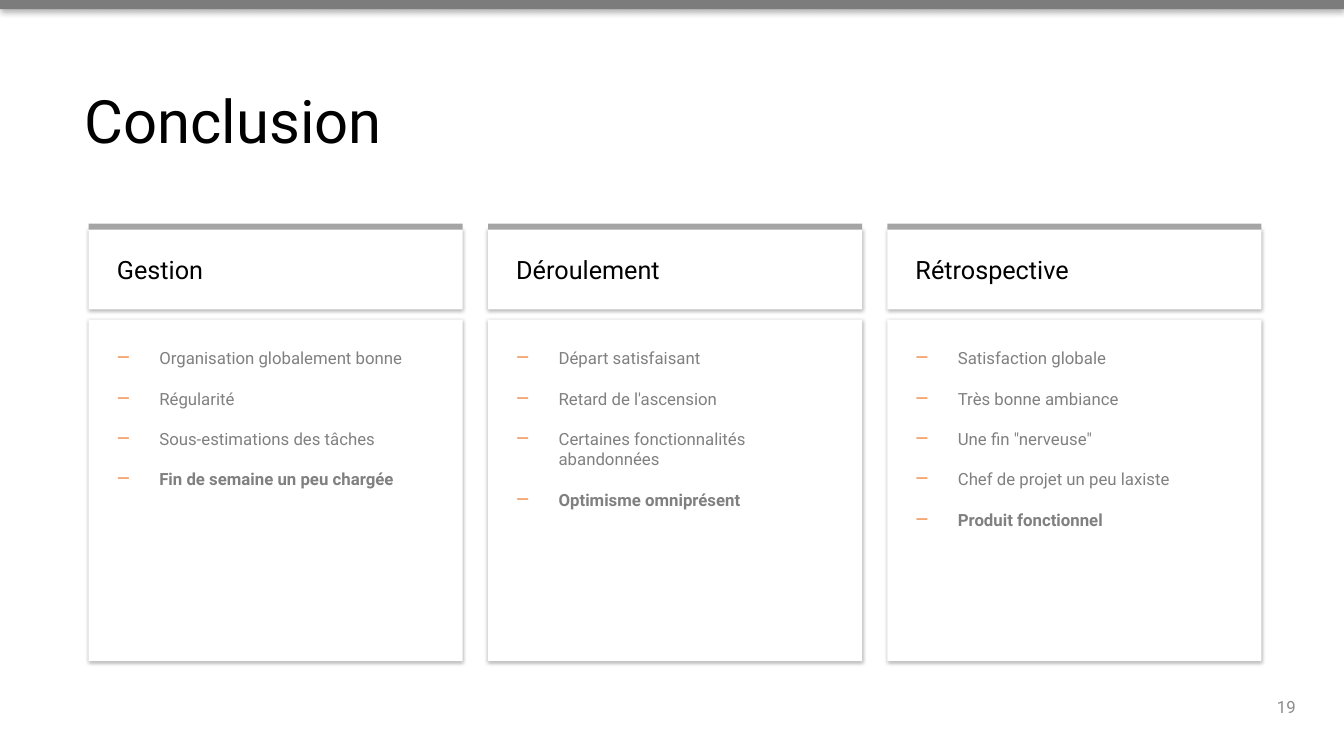
from dataclasses import dataclass

from lxml import etree
from pptx import Presentation
from pptx import util as u
from pptx.dml.color import RGBColor
from pptx.enum import shapes, text
from pptx.oxml.ns import qn


@dataclass(frozen=True)
class Theme:
    font: str = "Roboto"
    ink: str = "000000"
    body: str = "808080"
    page: str = "8C8C8C"
    paper: str = "FFFFFF"
    band: str = "7C7C7C"
    strip: str = "A5A5A5"
    dash: str = "ED7D31"
    title_pt: float = 42.7
    head_pt: float = 18
    text_pt: float = 12
    gap_pt: float = 14.5


T = Theme()
WIDE, HIGH = 13.33, 7.5

# Column grid and row tops, in inches
LEFT, PITCH, COL = 0.88, 3.96, 3.71
STRIP_TOP, HEAD_TOP, BODY_TOP = 2.22, 2.27, 3.17
STRIP_H, HEAD_H, BODY_H = 0.06, 0.8, 3.39
PAD, INDENT = 0.28, 0.42

CARDS = [
    ("Gestion", ["Organisation globalement bonne", "Régularité",
                 "Sous-estimations des tâches", "Fin de semaine un peu chargée"]),
    ("Déroulement", ["Départ satisfaisant", "Retard de l'ascension",
                     "Certaines fonctionnalités abandonnées",
                     "Optimisme omniprésent"]),
    ("Rétrospective", ["Satisfaction globale", "Très bonne ambiance",
                       'Une fin "nerveuse"', "Chef de projet un peu laxiste",
                       "Produit fonctionnel"]),
]


def add_shade(shape, blur, dist):
    """Soft black shadow falling straight down; sizes in points."""
    effects = shape._element.spPr.find(qn("a:effectLst"))
    outer = etree.SubElement(
        effects, qn("a:outerShdw"), blurRad=str(u.Pt(blur)),
        dist=str(u.Pt(dist)), dir="5400000", algn="t", rotWithShape="0")
    color = etree.SubElement(outer, qn("a:srgbClr"), val="000000")
    etree.SubElement(color, qn("a:alpha"), val="30000")


def add_rect(slide, box, fill, shade=None):
    rect = slide.shapes.add_shape(
        shapes.MSO_SHAPE.RECTANGLE, *map(u.Inches, box))
    rect.fill.solid()
    rect.fill.fore_color.rgb = RGBColor.from_string(fill)
    rect.line.fill.background()
    rect.shadow.inherit = False
    if shade:
        add_shade(rect, *shade)
    return rect


def set_frame(shape, anchor, pads=(0.1, 0.05, 0.1, 0.05)):
    frame = shape.text_frame
    frame.word_wrap = True
    frame.vertical_anchor = anchor
    (frame.margin_left, frame.margin_top,
     frame.margin_right, frame.margin_bottom) = map(u.Inches, pads)
    return frame


def style(para, words, size, color, align=text.PP_ALIGN.LEFT, bold=False):
    para.text = words
    para.alignment = align
    font = para.runs[0].font
    font.name, font.size, font.bold = T.font, u.Pt(size), bold
    font.color.rgb = RGBColor.from_string(color)


def add_label(slide, box, words, size, color, anchor, align):
    label = slide.shapes.add_textbox(*map(u.Inches, box))
    frame = set_frame(label, anchor)
    style(frame.paragraphs[0], words, size, color, align)


def add_dash(para):
    """Coloured dash bullet with a hanging indent."""
    props = para._p.get_or_add_pPr()
    props.set("marL", str(u.Inches(INDENT)))
    props.set("indent", str(-u.Inches(INDENT)))
    color = etree.SubElement(props, qn("a:buClr"))
    etree.SubElement(color, qn("a:srgbClr"), val=T.dash)
    etree.SubElement(props, qn("a:buFont"), typeface=T.font)
    etree.SubElement(props, qn("a:buChar"), char="—")


def add_card(slide, col, head, items):
    left = LEFT + col * PITCH

    # Heading with its strip
    top = add_rect(slide, (left, HEAD_TOP, COL, HEAD_H), T.paper, (3, 1))
    frame = set_frame(top, text.MSO_ANCHOR.MIDDLE, (PAD, 0.05, 0.1, 0.05))
    style(frame.paragraphs[0], head, T.head_pt, T.ink)
    add_rect(slide, (left, STRIP_TOP, COL, STRIP_H), T.strip)

    # List, with the last item in bold
    body = add_rect(slide, (left, BODY_TOP, COL, BODY_H), T.paper, (3, 1))
    frame = set_frame(body, text.MSO_ANCHOR.TOP, (PAD,) * 4)
    for row, item in enumerate(items):
        para = frame.add_paragraph() if row else frame.paragraphs[0]
        style(para, item, T.text_pt, T.body, bold=row == len(items) - 1)
        para.space_before = u.Pt(T.gap_pt if row else 0)
        add_dash(para)


def main():
    deck = Presentation()
    deck.slide_width, deck.slide_height = u.Inches(WIDE), u.Inches(HIGH)
    slide = deck.slides.add_slide(deck.slide_layouts[6])

    # Page number and title
    add_label(slide, (12.51, 6.81, 0.44, 0.4), "19", T.text_pt, T.page,
              text.MSO_ANCHOR.MIDDLE, text.PP_ALIGN.RIGHT)
    add_label(slide, (0.74, 0.78, 8.21, 0.82), "Conclusion", T.title_pt, T.ink,
              text.MSO_ANCHOR.TOP, text.PP_ALIGN.LEFT)

    # Three cards
    for col, (head, items) in enumerate(CARDS):
        add_card(slide, col, head, items)

    # Band along the top edge
    add_rect(slide, (0, -0.01, WIDE, 0.1), T.band, (4, 2))
    deck.save("out.pptx")


if __name__ == "__main__":
    main()
